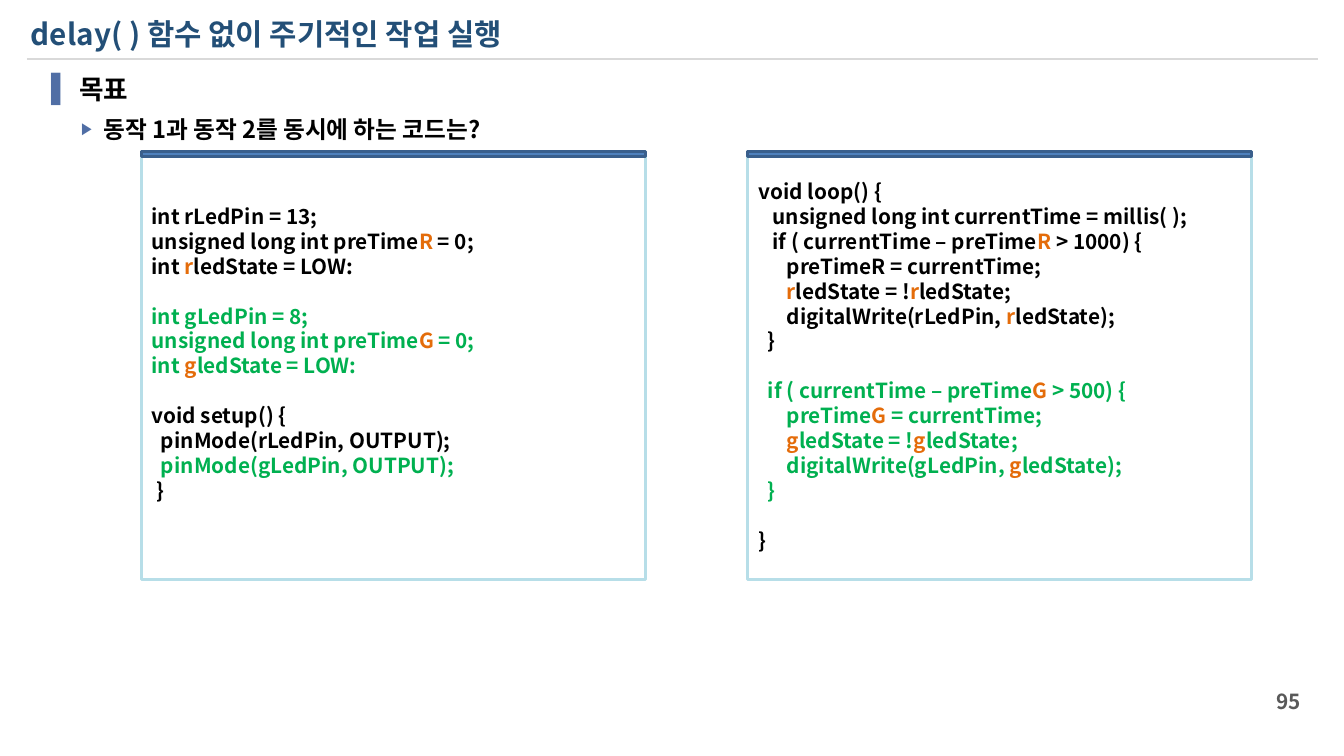
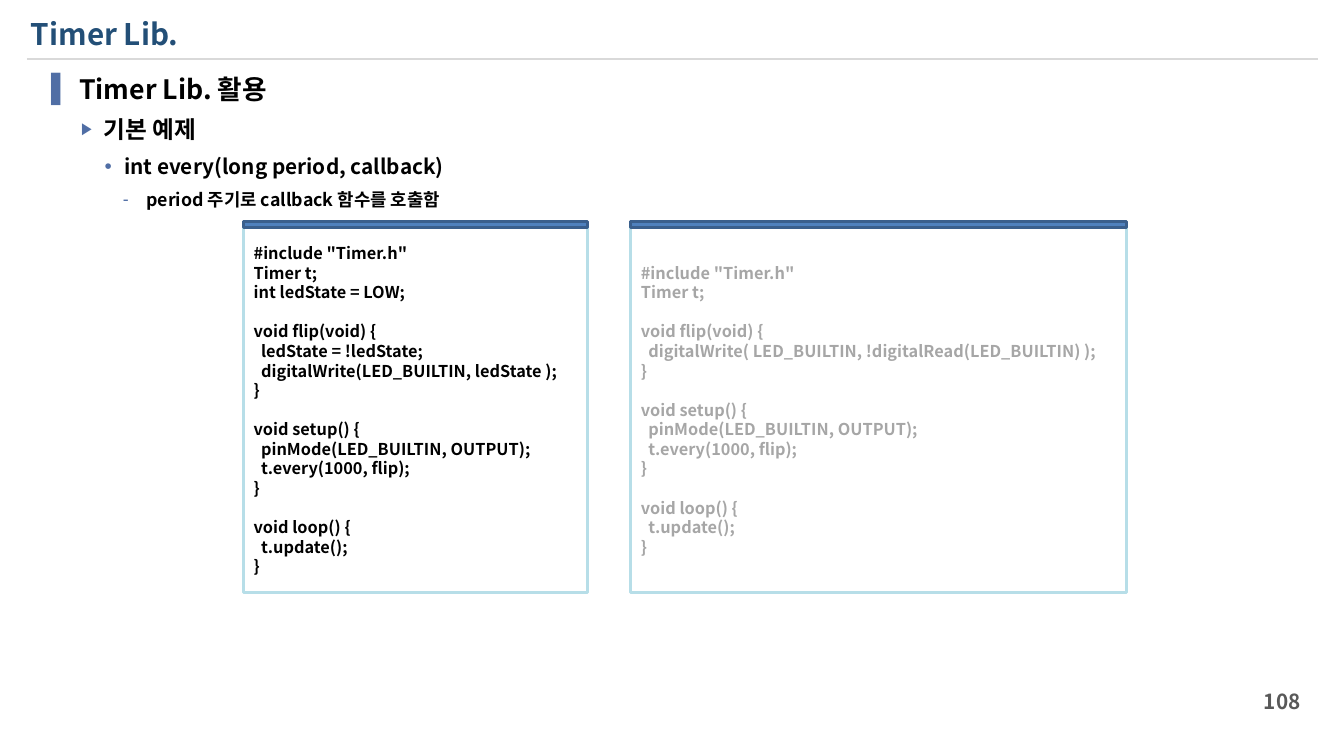
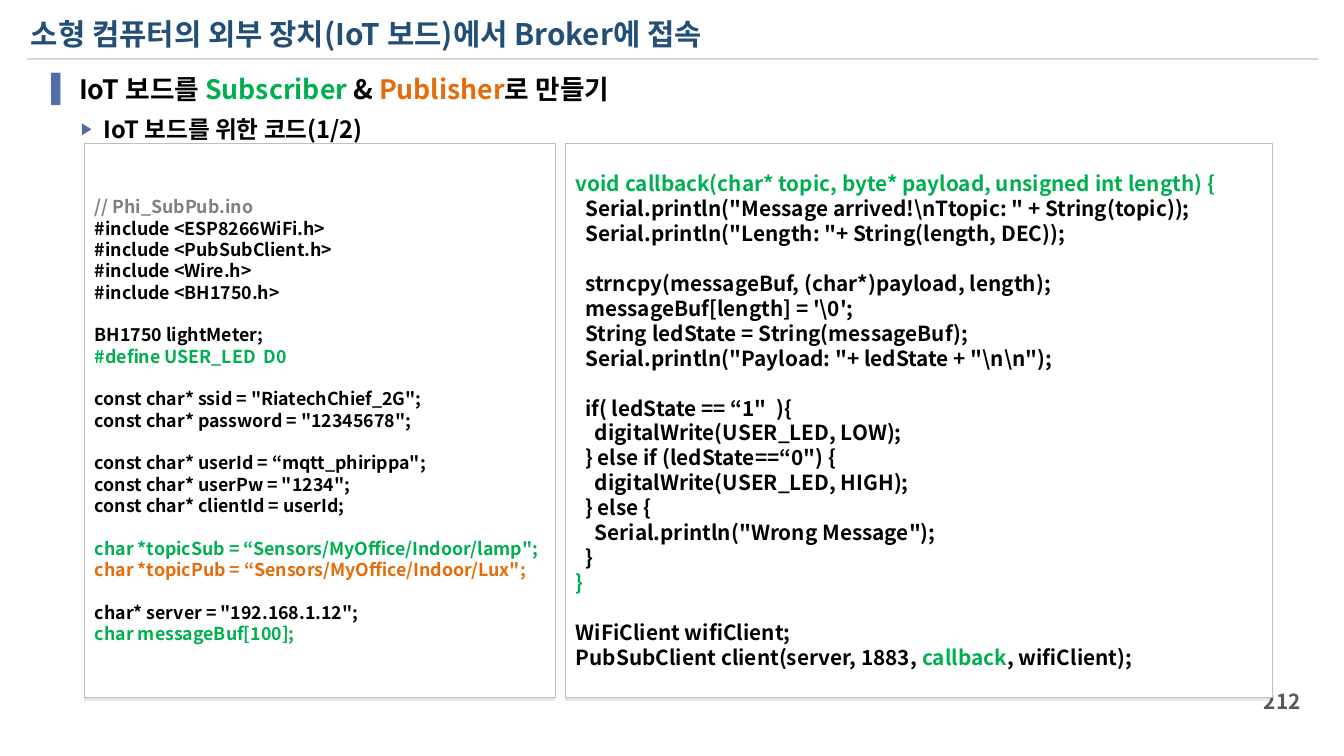
from itertools import cycle

from lxml import etree
from pptx import Presentation
from pptx.dml.color import RGBColor
from pptx.enum.shapes import MSO_CONNECTOR, MSO_SHAPE
from pptx.enum.text import MSO_ANCHOR, MSO_AUTO_SIZE, PP_ALIGN
from pptx.oxml.ns import qn
from pptx.util import Cm, Pt

RECT, ROUNDED = MSO_SHAPE.RECTANGLE, MSO_SHAPE.ROUNDED_RECTANGLE
STRAIGHT = MSO_CONNECTOR.STRAIGHT
TOP, MIDDLE = MSO_ANCHOR.TOP, MSO_ANCHOR.MIDDLE
LEFT, RIGHT = PP_ALIGN.LEFT, PP_ALIGN.RIGHT
NO_AUTOFIT = MSO_AUTO_SIZE.NONE

FONT = "Noto Sans CJK KR"
COLORS = {
    "title": "234F77", "ink": "000000", "green": "00B050", "orange": "E46C0A",
    "faded": "A6A6A6", "comment": "808080", "number": "595959",
    "rule": "D9D9D9", "bullet": "506EA5", "frame": "B7DEE8",
    "bar": "4F81BD", "bar_edge": "3A5F8C", "card": "FFFFFF", "card_edge": "BFBFBF",
}
# Per list level: bullet, its size (%), left margin (cm), hanging indent (cm), text size
LEVELS = [("▐", 100, 0.89, 0.89, 18), ("▶", 70, 1.47, 0.53, 16),
          ("•", 100, 1.96, 0.46, 14), ("-", 100, 2.49, 0.56, 12)]
BAR_HEIGHT = 0.13

# Code is a list of (colour, lines); parts between bars take the accent colours.
DELAY_SETUP = [
    ("ink", """int rLedPin = 13;
unsigned long int preTime|R| = 0;
int |r|ledState = LOW:
"""),
    ("green", """int gLedPin = 8;
unsigned long int preTime|G| = 0;
int |g|ledState = LOW:
"""),
    ("ink", """void setup() {
  pinMode(rLedPin, OUTPUT);"""),
    ("green", "  pinMode(gLedPin, OUTPUT);"),
    ("ink", """ }
"""),
]
DELAY_LOOP = [
    ("ink", """void loop() {
   unsigned long int currentTime = millis( );
   if ( currentTime – preTime|R| > 1000) {
      preTimeR = currentTime;
      |r|ledState = !|r|ledState;
      digitalWrite(rLedPin, |r|ledState);
  }
"""),
    ("green", """  if ( currentTime – preTime|G| > 500) {
      preTime|G| = currentTime;
      |g|ledState = !|g|ledState;
      digitalWrite(gLedPin, |g|ledState);
  }
"""),
    ("ink", "}"),
]
TIMER_TAIL = """}

void setup() {
  pinMode(LED_BUILTIN, OUTPUT);
  t.every(1000, flip);
}

void loop() {
  t.update();
}"""
TIMER_STATE = [("ink", """#include "Timer.h"
Timer t;
int ledState = LOW;

void flip(void) {
  ledState = !ledState;
  digitalWrite(LED_BUILTIN, ledState );
""" + TIMER_TAIL)]
TIMER_READ = [("faded", """#include "Timer.h"
Timer t;

void flip(void) {
  digitalWrite( LED_BUILTIN, !digitalRead(LED_BUILTIN) );
""" + TIMER_TAIL)]
MQTT_SETTINGS = [
    ("comment", "// Phi_SubPub.ino"),
    ("ink", """#include <ESP8266WiFi.h>
#include <PubSubClient.h>
#include <Wire.h>
#include <BH1750.h>

BH1750 lightMeter;"""),
    ("green", """#define USER_LED  D0
"""),
    ("ink", """const char* ssid = "RiatechChief_2G";
const char* password = "12345678";

const char* userId = “mqtt_phirippa";
const char* userPw = "1234";
const char* clientId = userId;
"""),
    ("green", 'char *topicSub = “Sensors/MyOffice/Indoor/lamp";'),
    ("orange", """char *topicPub = “Sensors/MyOffice/Indoor/Lux";
"""),
    ("ink", 'char* server = "192.168.1.12";'),
    ("green", "char messageBuf[100];"),
]
MQTT_CALLBACK = [
    ("green", "void callback(char* topic, byte* payload, unsigned int length) {"),
    ("ink", r"""  Serial.println("Message arrived!\nTtopic: " + String(topic));
  Serial.println("Length: "+ String(length, DEC));

  strncpy(messageBuf, (char*)payload, length);
  messageBuf[length] = '\0';
  String ledState = String(messageBuf);
  Serial.println("Payload: "+ ledState + "\n\n");

  if( ledState == “1"  ){
    digitalWrite(USER_LED, LOW);
  } else if (ledState==“0") {
    digitalWrite(USER_LED, HIGH);
  } else {
    Serial.println("Wrong Message");
  }"""),
    ("green", """}
"""),
    ("ink", """WiFiClient wifiClient;
PubSubClient client(server, 1883, |callback|, wifiClient);"""),
]


def rgb(name):
    return RGBColor.from_string(COLORS[name])


def sub(parent, tag, **attributes):
    return etree.SubElement(parent, qn(tag), attributes)


def add_color(parent, name):
    return sub(parent, "a:srgbClr", val=COLORS[name])


def add_run(p, text, size, color):
    r = p.add_run()
    r.text = text
    r.font.size = Pt(size)
    r.font.bold = True
    r.font.color.rgb = rgb(color)
    r.font.name = FONT
    sub(r.font._element, "a:ea", typeface=FONT)


def add_runs(p, text, size, color, accents):
    """Write text whose parts between bars take the accent colours in turn."""
    accent = cycle(accents)
    for i, part in enumerate(text.split("|")):
        ink = next(accent) if i % 2 else color
        if part:
            add_run(p, part, size, ink)


def add_blank_line(p, size):
    end = sub(p._p, "a:endParaRPr", sz=str(size * 100), b="1")
    sub(end, "a:latin", typeface=FONT)
    sub(end, "a:ea", typeface=FONT)


def next_paragraph(tf, index):
    return tf.add_paragraph() if index else tf.paragraphs[0]


def place(shape, left, top, width, height):
    shape.left, shape.top = Cm(left), Cm(top)
    shape.width, shape.height = Cm(width), Cm(height)


def setup_frame(tf, anchor):
    tf.word_wrap = True
    tf.auto_size = NO_AUTOFIT
    tf.vertical_anchor = anchor


def add_title(s, text):
    title = s.shapes.title
    place(title, 0.48, 0.23, 30.12, 1.12)
    setup_frame(title.text_frame, MIDDLE)
    p = title.text_frame.paragraphs[0]
    p.alignment = LEFT
    add_run(p, text, 20, "title")


def add_bullet(p, level):
    char, percent, margin, hanging, _ = LEVELS[level]
    pPr = p._p.get_or_add_pPr()
    pPr.set("marL", str(Cm(margin)))
    pPr.set("indent", str(-Cm(hanging)))
    add_color(sub(pPr, "a:buClr"), "bullet")
    sub(pPr, "a:buSzPct", val=str(percent * 1000))
    sub(pPr, "a:buChar", char=char)


def add_outline(s, items):
    """Fill the body placeholder, one list level deeper per item."""
    body = s.placeholders[1]
    place(body, 0.74, 1.6, 30.5, 4.85)
    setup_frame(body.text_frame, TOP)
    for level, text in enumerate(items):
        p = next_paragraph(body.text_frame, level)
        p.level = level
        add_bullet(p, level)
        p.space_before = Pt(7 if level else 0)
        add_runs(p, text, LEVELS[level][-1], "ink", ("green", "orange"))


def add_rule(s):
    rule = s.shapes.add_connector(STRAIGHT, Cm(0.64), Cm(1.41), Cm(31.39), Cm(1.41))
    rule.line.color.rgb = rgb("rule")
    rule.line.width = Pt(1.5)
    sub(rule._element.spPr, "a:effectLst")


def add_page_number(s, number):
    box = s.shapes.add_textbox(Cm(28.83), Cm(16.2), Cm(2.39), Cm(0.97))
    setup_frame(box.text_frame, MIDDLE)
    p = box.text_frame.paragraphs[0]
    p.alignment = RIGHT
    add_run(p, str(number), 14, "number")


def add_box(s, kind, area, fill, edge, weight):
    box = s.shapes.add_shape(kind, *(Cm(length) for length in area))
    box.shadow.inherit = False
    if fill:
        box.fill.solid()
        box.fill.fore_color.rgb = rgb(fill)
    else:
        box.fill.background()
    box.line.color.rgb = rgb(edge)
    box.line.width = Pt(weight)
    return box


def write_code(box, blocks, size, accent):
    tf = box.text_frame
    setup_frame(tf, MIDDLE)
    lines = [(color, line) for color, text in blocks for line in text.split("\n")]
    for i, (color, line) in enumerate(lines):
        p = next_paragraph(tf, i)
        p.alignment = LEFT
        if line:
            add_runs(p, line, size, color, (accent,))
        else:
            add_blank_line(p, size)


def add_code_panel(s, area, bar_top, blocks, size):
    """Framed code with a dark bar along its upper edge."""
    left, _, width, _ = area
    frame = add_box(s, RECT, area, None, "frame", 2)
    write_code(frame, blocks, size, "orange")
    add_box(s, RECT, (left, bar_top, width, BAR_HEIGHT), "bar", "bar_edge", 2)


def add_code_card(s, area, blocks, size):
    """White code card with a faint shadow below."""
    card = add_box(s, ROUNDED, area, "card", "card_edge", 0.25)
    card.adjustments[0] = 0
    effects = card._element.spPr.find(qn("a:effectLst"))
    shadow = sub(effects, "a:outerShdw", dist=str(Pt(2)), dir="5400000", rotWithShape="0")
    sub(add_color(shadow, "ink"), "a:alpha", val="10000")
    write_code(card, blocks, size, "green")


def add_slide(prs, title, outline, number):
    s = prs.slides.add_slide(prs.slide_layouts[1])
    add_rule(s)
    add_title(s, title)
    add_outline(s, outline)
    add_page_number(s, number)
    return s


def main():
    prs = Presentation()
    prs.slide_width, prs.slide_height = Cm(32), Cm(18)

    s = add_slide(prs, "delay( ) 함수 없이 주기적인 작업 실행",
                  ["목표", "동작 1과 동작 2를 동시에 하는 코드는?"], 95)
    top = 3.6
    for left, code in ((3.36, DELAY_SETUP), (17.81, DELAY_LOOP)):
        add_code_panel(s, (left, top, 12, 10.21), top, code, 14)

    s = add_slide(prs, "Timer Lib.",
                  ["Timer Lib. 활용", "기본 예제", "int every(long period, callback)",
                   "period 주기로 callback 함수를 호출함"], 108)
    top = 5.41
    for left, width, code in ((5.79, 8.2, TIMER_STATE), (15.01, 11.81, TIMER_READ)):
        add_code_panel(s, (left, top, width, 8.69), top - BAR_HEIGHT, code, 11)

    s = add_slide(prs, "소형 컴퓨터의 외부 장치(IoT 보드)에서 Broker에 접속",
                  ["IoT 보드를 |Subscriber| & |Publisher|로 만들기",
                   "IoT 보드를 위한 코드(1/2)"], 212)
    for left, width, code, size in ((2.01, 11.2, MQTT_SETTINGS, 12),
                                    (13.46, 16.84, MQTT_CALLBACK, 14)):
        add_code_card(s, (left, 3.4, width, 13.21), code, size)

    prs.save("out.pptx")


if __name__ == "__main__":
    main()
